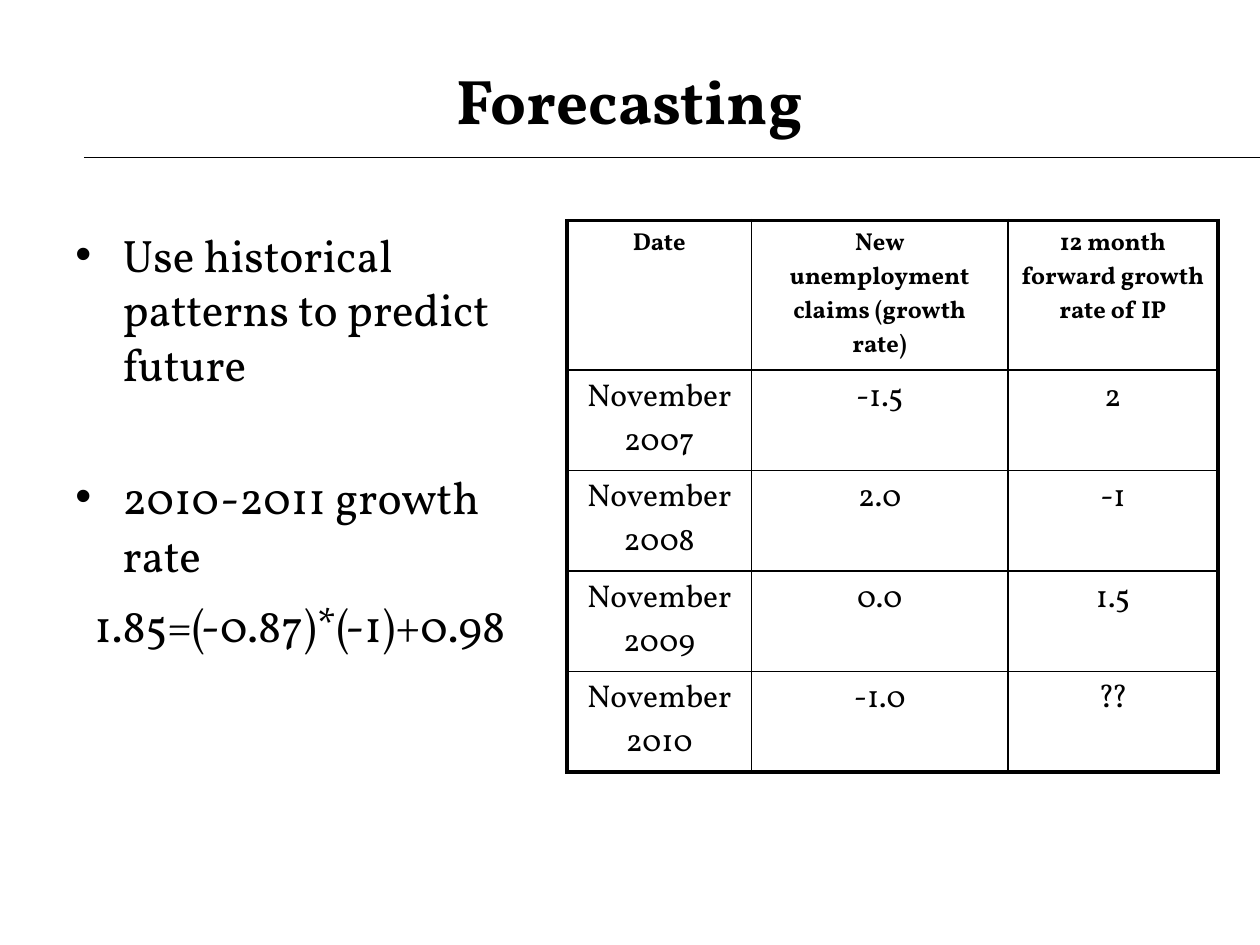
"""Build the Forecasting slide: title over a rule, bullets on the left, data table on the right."""
import dataclasses

import lxml.etree
import pptx
import pptx.dml.color
import pptx.enum.shapes
import pptx.enum.text
import pptx.oxml.ns
import pptx.util


@dataclasses.dataclass(frozen=True)
class Theme:
    font: str = "Vollkorn"
    ink: str = "000000"
    paper: str = "FFFFFF"
    title: int = 36
    body: int = 26
    cell: int = 18
    header: int = 14
    frame: float = 2.25
    inner: float = 1
    rule: float = 0.75


theme = Theme()
ink = pptx.dml.color.RGBColor.from_string(theme.ink)
qn = pptx.oxml.ns.qn
center = pptx.enum.text.PP_ALIGN.CENTER


def style(p, size, bold=False):
    for r in p.runs:
        r.font.name = theme.font
        r.font.size = pptx.util.Pt(size)
        r.font.bold = bold
        r.font.color.rgb = ink


def add_border(cell, index, side, width):
    ln = lxml.etree.Element(qn(f"a:{side}"), w=str(pptx.util.Pt(width)))
    fill = lxml.etree.SubElement(ln, qn("a:solidFill"))
    lxml.etree.SubElement(fill, qn("a:srgbClr"), val=theme.ink)
    cell._tc.get_or_add_tcPr().insert(index, ln)


prs = pptx.Presentation()
prs.slide_width = pptx.util.Inches(10)
prs.slide_height = pptx.util.Inches(7.5)
col = prs.slide_width // 120
row = prs.slide_height // 90
s = prs.slides.add_slide(prs.slide_layouts[6])
s.background.fill.solid()
s.background.fill.fore_color.rgb = pptx.dml.color.RGBColor.from_string(theme.paper)

rule = s.shapes.add_connector(
    pptx.enum.shapes.MSO_CONNECTOR.STRAIGHT, 8 * col, 15 * row, 120 * col, 15 * row)
rule.line.color.rgb = ink
rule.line.width = pptx.util.Pt(theme.rule)
lxml.etree.SubElement(rule._element.spPr, qn("a:effectLst"))

title = s.shapes.add_textbox(6 * col, 4 * row, 108 * col, 11 * row)
tf = title.text_frame
tf.word_wrap = True
tf.vertical_anchor = pptx.enum.text.MSO_ANCHOR.MIDDLE
tf.text = "Forecasting"
tf.paragraphs[0].alignment = center
style(tf.paragraphs[0], theme.title, bold=True)

body = s.shapes.add_textbox(6 * col, 21 * row, 46 * col, int(59.4 * row))
tf = body.text_frame
tf.word_wrap = True
points = [
    ("Use historical patterns to predict future", True, 6.5, 1.0),
    ("2010-2011 growth rate", True, 42.5, 1.07),
    ("1.85=(-0.87)*(-1)+0.98", False, 6.7, 1.07),
]
for i, (text, bulleted, before, spacing) in enumerate(points):
    p = tf.add_paragraph() if i else tf.paragraphs[0]
    p.text = text
    p.space_before = pptx.util.Pt(before)
    p.line_spacing = spacing
    style(p, theme.body)
    pPr = p._p.get_or_add_pPr()
    indent = int((4.5 if bulleted else 1.8) * col)
    pPr.set("marL", str(indent))
    if bulleted:
        pPr.set("indent", str(-indent))
        lxml.etree.SubElement(pPr, qn("a:buFont"), typeface="Arial")
        lxml.etree.SubElement(pPr, qn("a:buChar"), char="•")

data = [
    ("Date", "New unemployment claims (growth rate)", "12 month forward growth rate of IP"),
    ("November 2007", "-1.5", "2"),
    ("November 2008", "2.0", "-1"),
    ("November 2009", "0.0", "1.5"),
    ("November 2010", "-1.0", "??"),
]
widths = [17.57, 24.43, 20]
header_rows, data_rows = 14.25, 9.57
last_row, last_col = len(data) - 1, len(widths) - 1
table = s.shapes.add_table(
    len(data), len(widths), 54 * col, 21 * row, 62 * col,
    int((header_rows + last_row * data_rows) * row)).table
table.first_row = table.horz_banding = False
for column, width in zip(table.columns, widths):
    column.width = int(width * col)
for r, values in enumerate(data):
    table.rows[r].height = int((data_rows if r else header_rows) * row)
    for c, value in enumerate(values):
        cell = table.cell(r, c)
        cell.text = value
        cell.fill.background()
        p = cell.text_frame.paragraphs[0]
        p.alignment = center
        style(p, theme.cell if r else theme.header, bold=r == 0)
        outer = {"lnL": c == 0, "lnR": c == last_col, "lnT": r == 0, "lnB": r == last_row}
        for i, (side, on_frame) in enumerate(outer.items()):
            add_border(cell, i, side, theme.frame if on_frame else theme.inner)

prs.save("out.pptx")
